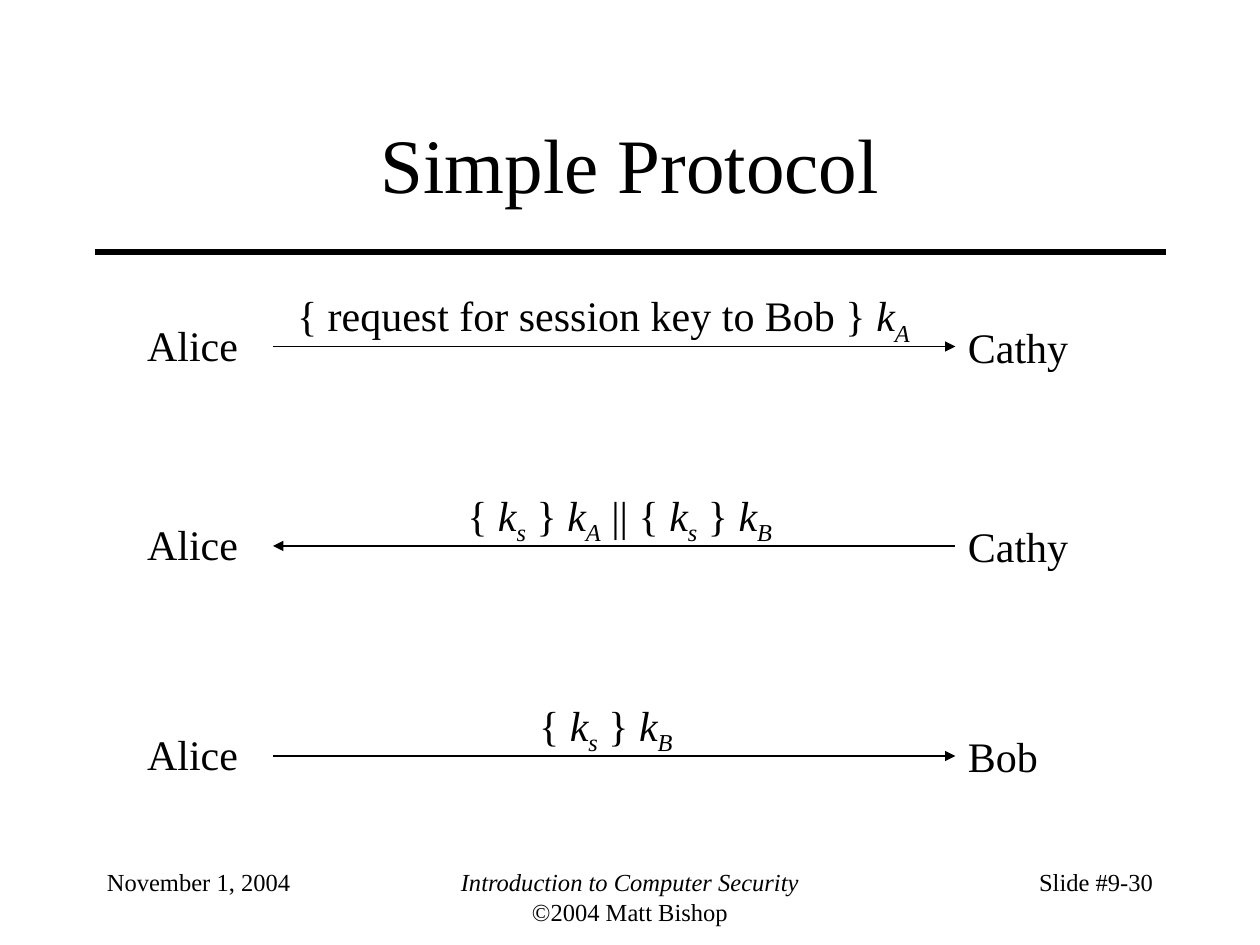
import pptx
import pptx.dml.color
import pptx.enum.shapes
import pptx.enum.text
import pptx.oxml
import pptx.oxml.ns
import pptx.util

Pt = pptx.util.Pt
ALIGN = pptx.enum.text.PP_ALIGN
ANCHOR = pptx.enum.text.MSO_ANCHOR
AUTO_SIZE = pptx.enum.text.MSO_AUTO_SIZE

COLOURS = {"ink": "000000", "paper": "FFFFFF"}
FONT = "Times New Roman"
ARROW_LEFT, ARROW_RIGHT = 156, 546

STEPS = [
    (198, "Cathy", 73, "tailEnd", "{ request for session key to Bob } k_A", 162.7, 365),
    (312, "Cathy", 73, "headEnd", "{ k_s } k_A || { k_s } k_B", 260, 189),
    (432, "Bob", 56, "tailEnd", "{ k_s } k_B", 301, 91),
]


def colour(name):
    return pptx.dml.color.RGBColor.from_string(COLOURS[name])


def style_span(span, size, italic=False):
    span.font.name = FONT
    span.font.size = Pt(size)
    span.font.italic = italic
    span.font.color.rgb = colour("ink")


def add_box(page, left, top, width, height, wrap):
    box = page.shapes.add_textbox(Pt(left), Pt(top), Pt(width), Pt(height))
    box.text_frame.word_wrap = wrap
    return box


def add_text(page, area, text, size, align=ALIGN.LEFT, wrap=True, italic_lines=()):
    box = add_box(page, *area, wrap)
    box.text_frame.text = text
    for index, para in enumerate(box.text_frame.paragraphs):
        para.alignment = align
        for span in para.runs:
            style_span(span, size, index in italic_lines)
    return box


def add_name(page, left, top, width, name):
    box = add_text(page, (left, top, width, 36), name, 24, wrap=False)
    box.text_frame.auto_size = AUTO_SIZE.SHAPE_TO_FIT_TEXT


def add_span(para, text, italic=False, subscript=False):
    span = para.add_run()
    span.text = text
    style_span(span, 24, italic)
    if subscript:
        span.font._element.set("baseline", "-25000")


def add_message(page, left, top, width, message):
    box = add_box(page, left, top, width, 40.3, False)
    box.text_frame.auto_size = AUTO_SIZE.SHAPE_TO_FIT_TEXT
    para = box.text_frame.paragraphs[0]
    opening, *keys = message.split("k_")
    add_span(para, opening)
    for key in keys:
        add_span(para, "k", italic=True)
        add_span(para, key[0], italic=True, subscript=True)
        if key[1:]:
            add_span(para, key[1:])


def add_line(page, left, right, y, weight, arrow_end=None):
    line = page.shapes.add_connector(
        pptx.enum.shapes.MSO_CONNECTOR.STRAIGHT, Pt(left), Pt(y), Pt(right), Pt(y)
    )
    line.line.color.rgb = colour("ink")
    line.line.width = Pt(weight)
    if arrow_end:
        arrow = pptx.oxml.parse_xml(
            f'<a:{arrow_end} {pptx.oxml.ns.nsdecls("a")} type="triangle"/>'
        )
        line.line._get_or_add_ln().append(arrow)
    effects = pptx.oxml.parse_xml(f'<a:effectLst {pptx.oxml.ns.nsdecls("a")}/>')
    line._element.spPr.append(effects)


def add_step(page, y, partner, partner_width, arrow_end, message, left, width):
    add_name(page, 77, y - 19.2, 67, "Alice")
    add_line(page, ARROW_LEFT, ARROW_RIGHT, y, 0.75, arrow_end)
    add_name(page, 546, y - 18, partner_width, partner)
    add_message(page, left, y - 36, width, message)


def add_footer(page):
    add_text(page, (54, 492, 150, 36), "November 1, 2004", 14)
    add_text(page, (246, 492, 228, 36),
             "Introduction to Computer Security\n©2004 Matt Bishop",
             14, ALIGN.CENTER, italic_lines=(0,))
    add_text(page, (516, 492, 150, 36), "Slide #9-30", 14, ALIGN.RIGHT)


def main():
    deck = pptx.Presentation()
    deck.slide_width, deck.slide_height = Pt(720), Pt(540)
    page = deck.slides.add_slide(deck.slide_layouts[6])
    page.background.fill.solid()
    page.background.fill.fore_color.rgb = colour("paper")
    add_line(page, 54, 666, 144, 3)
    add_footer(page)
    title = add_text(page, (54, 48, 612, 90), "Simple Protocol", 44, ALIGN.CENTER)
    title.text_frame.vertical_anchor = ANCHOR.MIDDLE
    for step in STEPS:
        add_step(page, *step)
    deck.save("out.pptx")


if __name__ == "__main__":
    main()
